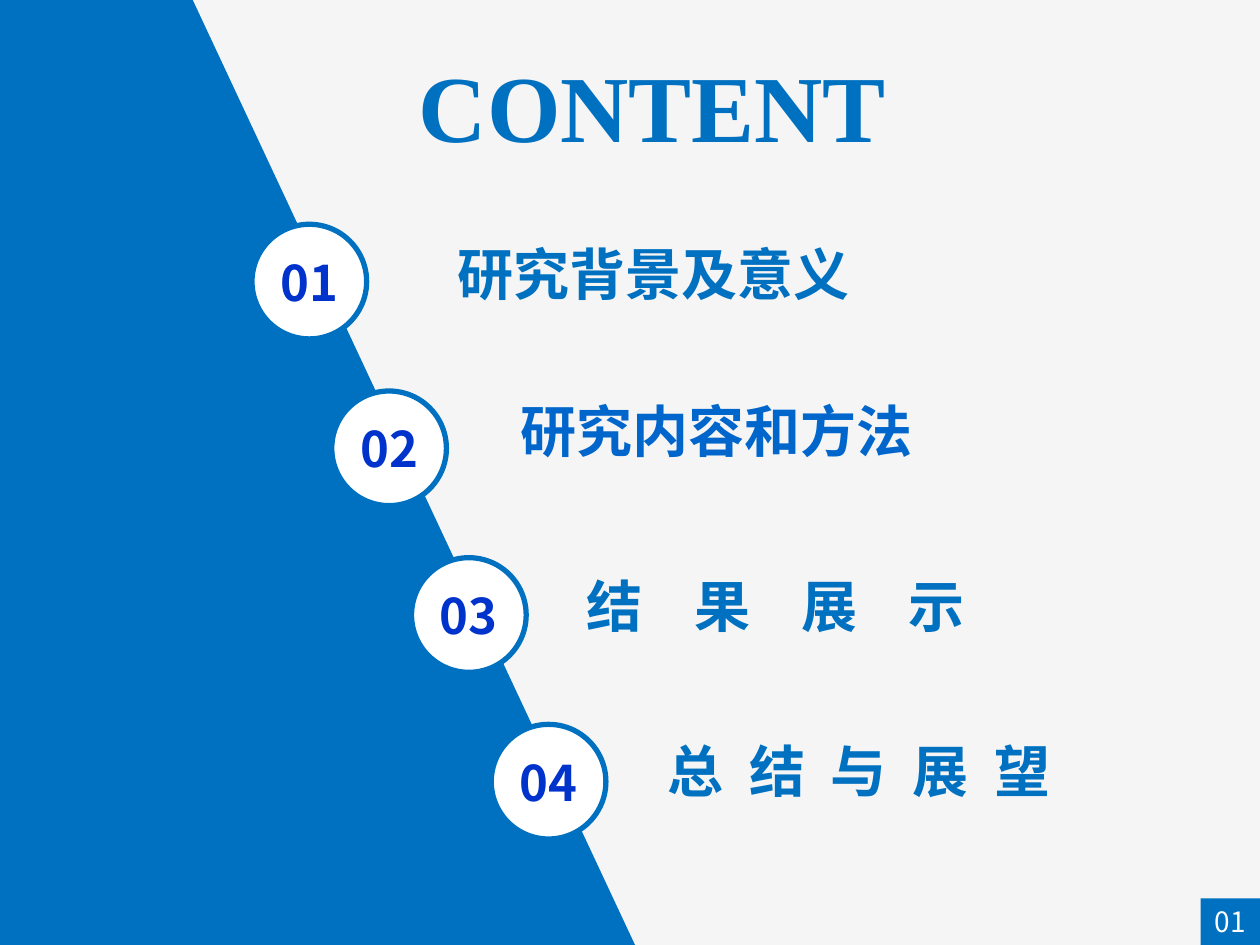
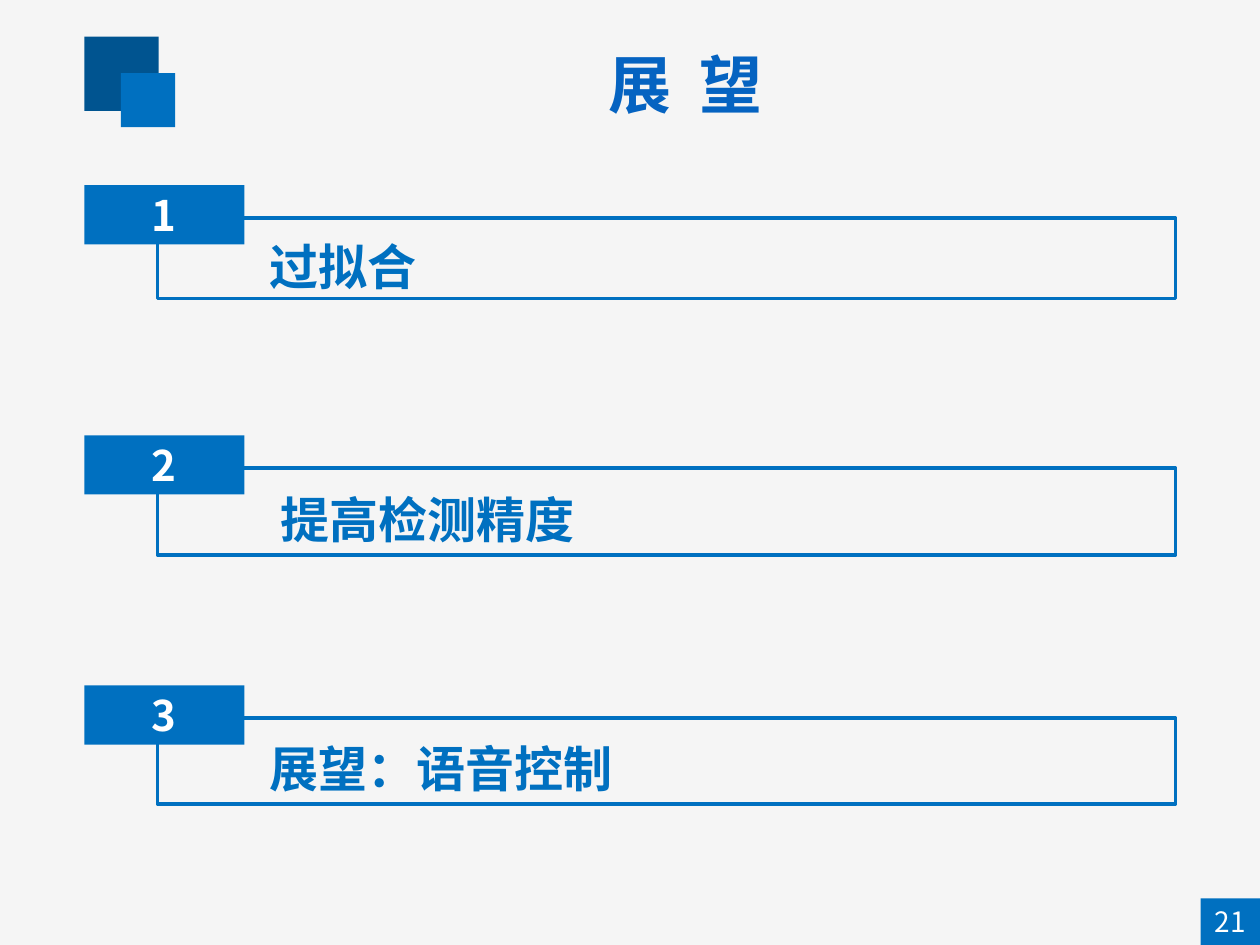
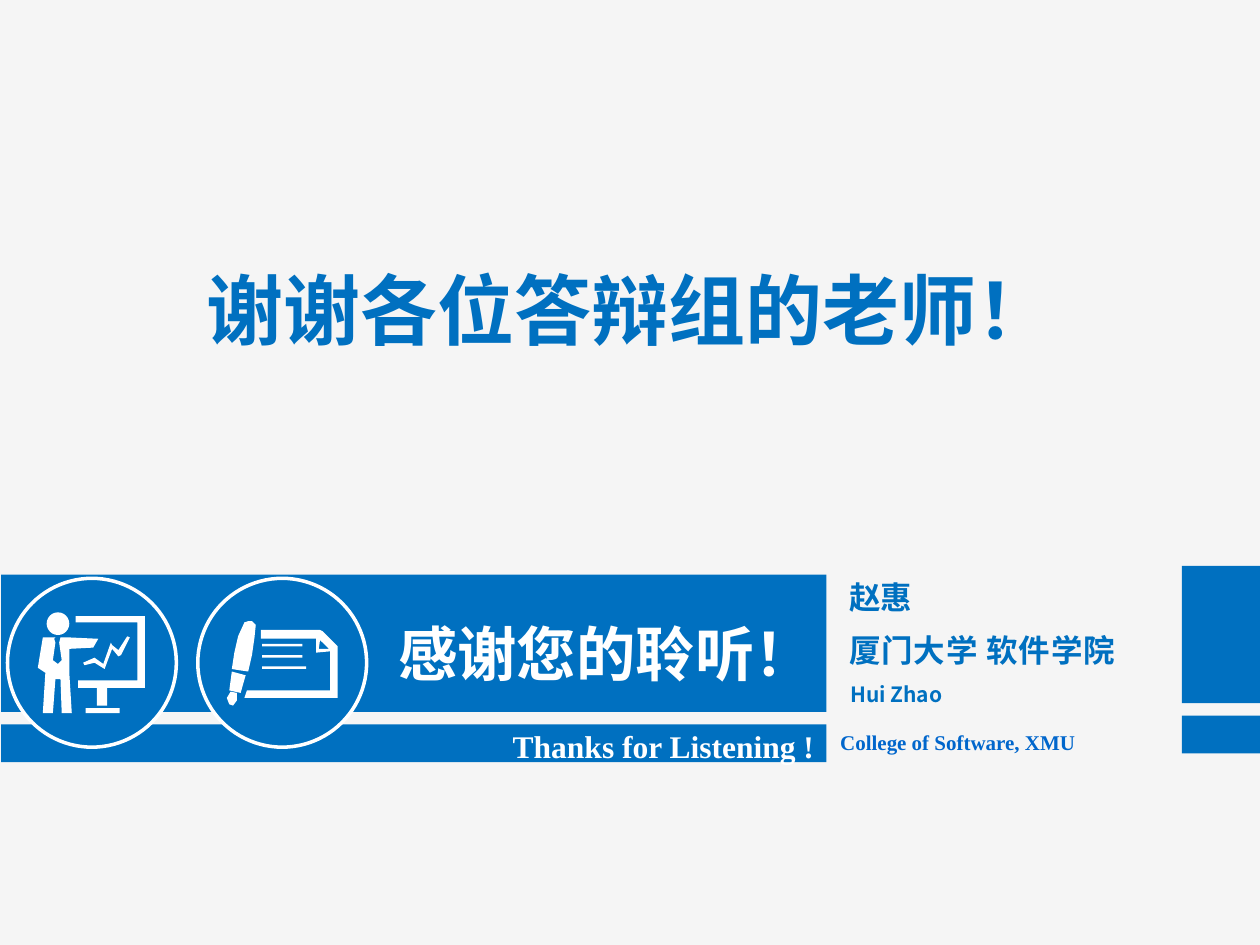
import pptx
import pptx.util
import pptx.dml.color
import pptx.enum.shapes
import pptx.enum.text
import pptx.oxml
from pptx.oxml.ns import qn

In, Pt = pptx.util.Inches, pptx.util.Pt
SHAPE = pptx.enum.shapes.MSO_SHAPE
ALIGN = pptx.enum.text.PP_ALIGN
ANCHOR = pptx.enum.text.MSO_ANCHOR
W, H = 10, 7.5


class Theme:
    blue, dark, bright = "0070C0", "005490", "0066CC"
    number, heading = "0033CC", "0563C1"
    white, paper = "FFFFFF", "F5F5F5"
    sans, serif, latin = "Noto Sans CJK SC", "Times New Roman", "Calibri"
    display, thanks, title, banner, item = 54, 44, 36, 34, 32
    point, tab, name, footer, small = 28, 24, 18, 16, 12


def paint(shape, fill=None, line=None, width=0):
    shape.shadow.inherit = False
    if fill:
        shape.fill.solid()
        shape.fill.fore_color.rgb = pptx.dml.color.RGBColor.from_string(fill)
    else:
        shape.fill.background()
    if line:
        shape.line.color.rgb = pptx.dml.color.RGBColor.from_string(line)
        shape.line.width = Pt(width)
    else:
        shape.line.fill.background()


def write(shape, text, size, color=Theme.blue, font=Theme.sans, align=ALIGN.LEFT,
          anchor=ANCHOR.TOP, bold=True, leading=1.0, tracking=0, inset=0.1):
    """Fill a shape with one styled paragraph; tracking is letter spacing in points."""
    tf = shape.text_frame
    tf.word_wrap = True
    tf.auto_size = pptx.enum.text.MSO_AUTO_SIZE.NONE
    tf.vertical_anchor = anchor
    tf.margin_left, tf.margin_right = In(inset), In(min(inset, 0.1))
    tf.margin_top = tf.margin_bottom = In(0.05)
    p = tf.paragraphs[0]
    p.text, p.alignment, p.line_spacing = text, align, leading
    p.font.size, p.font.bold, p.font.name = Pt(size), bold, font
    p.font.color.rgb = pptx.dml.color.RGBColor.from_string(color)
    props = p._p.pPr.find(qn("a:defRPr"))
    props.append(pptx.oxml.parse_xml(
        '<a:ea xmlns:a="http://schemas.openxmlformats.org/drawingml/2006/main" '
        f'typeface="{font}"/>'))
    if tracking:
        props.set("spc", str(round(tracking * 100)))


prs = pptx.Presentation()
prs.slide_width, prs.slide_height = In(W), In(H)
background = prs.slide_master.background.fill
background.solid()
background.fore_color.rgb = pptx.dml.color.RGBColor.from_string(Theme.paper)

# Slides and their titles
titles = [
    ("CONTENT", (2.88, 0.33, 4.6, 1.01), Theme.display, Theme.blue, Theme.serif, 0),
    ("展 望", (1.55, 0.31, 7.78, 0.71), Theme.title, Theme.heading, Theme.sans, 4),
    ("谢谢各位答辩组的老师！", (1.49, 2.03, 7.02, 0.83), Theme.thanks, Theme.blue, Theme.latin, 0),
]
slides = []
for text, box, size, color, font, tracking in titles:
    s = prs.slides.add_slide(prs.slide_layouts[5])
    title = s.shapes.title
    title.left, title.top, title.width, title.height = map(In, box)
    write(title, text, size, color, font, ALIGN.CENTER, tracking=tracking)
    slides.append(s)
contents, outlook, closing = slides

# Contents: slanted panel with four steps along its edge
builder = contents.shapes.build_freeform(0, 0, scale=In(0.01))
builder.add_line_segments([(153, 0), (504, 750), (0, 750)])
paint(builder.convert_to_shape(), Theme.blue)

agenda = [
    ("研究背景及意义", 3.53, 1.85, Theme.blue, Theme.latin, 0),
    ("研究内容和方法", 4.03, 3.1, Theme.bright, Theme.sans, 0),
    ("结 果 展 示", 4.56, 4.49, Theme.blue, Theme.latin, 11),
    ("总 结 与 展 望", 5.2, 5.8, Theme.blue, Theme.latin, 3.7),
]
for i, (text, x, y, color, font, tracking) in enumerate(agenda):
    circle = contents.shapes.add_shape(
        SHAPE.OVAL, In(2 + 0.633 * i), In(1.78 + 1.323 * i), In(0.91), In(0.91))
    paint(circle, Theme.white, Theme.blue, 3)
    write(circle, f"{i + 1:02}", Theme.point, Theme.number, align=ALIGN.CENTER,
          anchor=ANCHOR.MIDDLE, inset=0)
    label = contents.shapes.add_textbox(In(x), In(y), In(min(5.38, W - 0.1 - x)), In(0.64))
    write(label, text, Theme.item, color, font, tracking=tracking)

# Outlook: corner squares and three numbered frames
for x, y, side, color in [(0.67, 0.29, 0.59, Theme.dark), (0.96, 0.58, 0.43, Theme.blue)]:
    paint(outlook.shapes.add_shape(SHAPE.RECTANGLE, In(x), In(y), In(side), In(side)), color)

points = [("过拟合", 0.64, 0.89), ("提高检测精度", 0.69, 0.98), ("展望：语音控制", 0.68, 0.89)]
for i, (text, height, inset) in enumerate(points):
    y = 1.47 + 1.985 * i
    frame = outlook.shapes.add_shape(SHAPE.RECTANGLE, In(1.25), In(y + 0.26), In(8.08), In(height))
    paint(frame, line=Theme.blue, width=2)
    write(frame, text, Theme.point, anchor=ANCHOR.MIDDLE, leading=1.25, inset=inset)
    tab = outlook.shapes.add_shape(SHAPE.RECTANGLE, In(0.67), In(y), In(1.27), In(0.47))
    paint(tab, Theme.blue)
    write(tab, str(i + 1), Theme.tab, Theme.white, align=ALIGN.CENTER, anchor=ANCHOR.MIDDLE)

# Closing: signature, bands and banner
signature = [
    ("赵惠", 6.64, 4.54, Theme.name, Theme.blue, Theme.sans, 0),
    ("厦门大学 软件学院", 6.64, 4.96, Theme.name, Theme.blue, Theme.sans, 0.5),
    ("Hui Zhao", 6.65, 5.36, Theme.small, Theme.blue, Theme.sans, 0),
    ("College of Software, XMU", 6.57, 5.74, Theme.small, Theme.bright, Theme.serif, 0),
]
for text, x, y, size, color, font, tracking in signature:
    line = closing.shapes.add_textbox(In(x), In(y), In(2.81), In(size / 45))
    write(line, text, size, color, font, tracking=tracking)

for x, y, width in [(9.38, 4.49, W - 9.38), (0.01, 4.56, 6.55)]:
    for offset, height in [(0, 1.09), (1.19, 0.3)]:
        paint(closing.shapes.add_shape(
            SHAPE.RECTANGLE, In(x), In(y + offset), In(width), In(height)), Theme.blue)

for text, x, y, height, size, font in [
        ("感谢您的聆听！", 2.96, 4.71, 0.75, Theme.banner, Theme.sans),
        ("Thanks for Listening !", 3.56, 5.65, 0.4, Theme.name, Theme.serif)]:
    banner = closing.shapes.add_textbox(In(x), In(y), In(6.56 - x), In(height))
    write(banner, text, size, Theme.white, font, ALIGN.RIGHT, leading=1.25)

# Icon outlines, in hundredths of an inch on the slide
presenter = [
    [(66, 526), (75, 522), (82, 527), (88, 510), (89, 512), (94, 516), (101, 505), (103, 506),
     (96, 520), (94, 521), (89, 515), (83, 531), (75, 526), (67, 528)],
    [(68, 562), (95, 562), (95, 566), (68, 566)],
    [(85, 546), (115, 546), (115, 489), (60, 489), (60, 494), (109, 494), (109, 540),
     (62, 540), (62, 546), (77, 546), (77, 560), (85, 560)],
    [(30, 530), (36, 534), (34, 566), (42, 566), (44, 539), (48, 539), (49, 566), (57, 566),
     (55, 534), (55, 515), (74, 514), (78, 507), (56, 506), (48, 506), (47, 510), (49, 524),
     (46, 527), (42, 524), (44, 510), (43, 507), (44, 506), (34, 506)],
]
pen_and_page = [
    [(194, 494), (197, 493), (200, 493), (203, 496), (202, 506), (200, 520), (197, 533),
     (190, 532), (184, 531), (186, 518), (189, 505)],
    [(196, 548), (194, 554), (268, 554), (268, 513), (256, 501), (254, 500), (207, 500),
     (207, 507), (251, 507), (251, 518), (262, 517), (262, 548)],
    [(261, 515), (253, 515), (254, 508)],
    [(183, 549), (188, 550), (188, 556), (185, 560), (182, 559), (180, 554)],
    [(184, 533), (182, 548), (191, 550), (195, 536)],
]
for y, right in [(511, 240), (520, 240), (529, 243)]:
    pen_and_page.append([(208, y), (right, y), (right, y + 2), (208, y + 2)])

for x, outlines in [(0.06, presenter), (1.57, pen_and_page)]:
    disc = closing.shapes.add_shape(SHAPE.OVAL, In(x), In(4.59), In(1.34), In(1.34))
    paint(disc, Theme.blue, Theme.white, 2)
    builder = closing.shapes.build_freeform(*outlines[0][0], scale=In(0.01))
    for outline in outlines:
        builder.move_to(*outline[0])
        builder.add_line_segments(outline[1:])
    paint(builder.convert_to_shape(), Theme.white)
head = closing.shapes.add_shape(SHAPE.OVAL, In(0.37), In(4.86), In(0.18), In(0.18))
paint(head, Theme.white)

# Page numbers
for s, number in [(contents, "01"), (outlook, "21")]:
    badge = s.shapes.add_shape(SHAPE.RECTANGLE, In(W - 0.47), In(H - 0.37), In(0.47), In(0.37))
    paint(badge, Theme.blue)
    write(badge, number, Theme.footer, Theme.white, align=ALIGN.CENTER,
          anchor=ANCHOR.MIDDLE, bold=False, inset=0)

prs.save("out.pptx")
